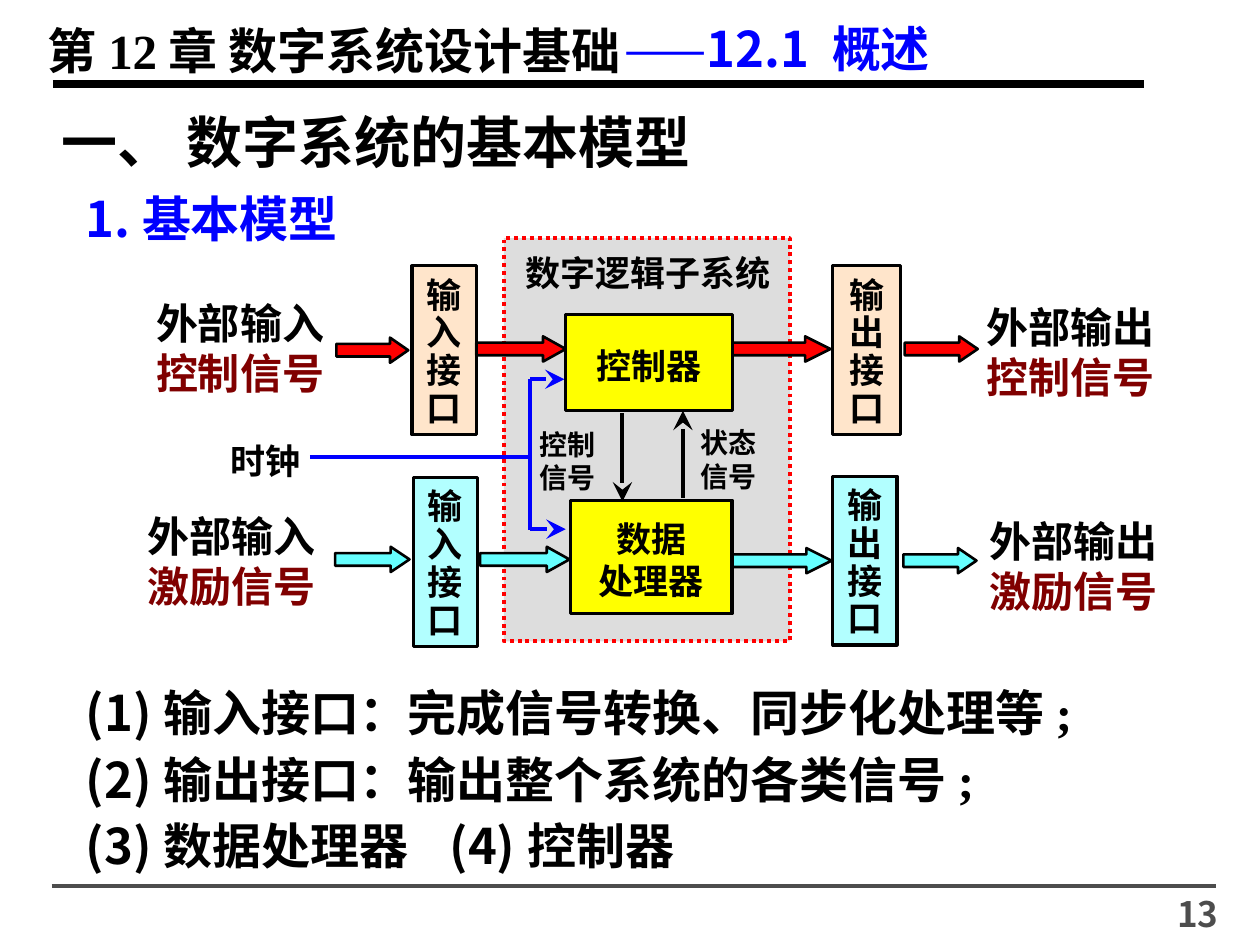
from lxml import etree
from pptx import Presentation
from pptx.dml.color import RGBColor
from pptx.enum.dml import MSO_LINE
from pptx.enum.shapes import MSO_CONNECTOR, MSO_SHAPE
from pptx.enum.text import MSO_ANCHOR, MSO_AUTO_SIZE, PP_ALIGN
from pptx.oxml.ns import qn
from pptx.util import Pt

LEFT, CENTER, RIGHT = PP_ALIGN.LEFT, PP_ALIGN.CENTER, PP_ALIGN.RIGHT
TOP, MIDDLE = MSO_ANCHOR.TOP, MSO_ANCHOR.MIDDLE
RECT, ARROW = MSO_SHAPE.RECTANGLE, MSO_SHAPE.RIGHT_ARROW
STRAIGHT = MSO_CONNECTOR.STRAIGHT
DOTTED = MSO_LINE.ROUND_DOT
PX = 9144  # EMU per px, 100 px to the inch


class Theme:
    sans, serif = "Noto Sans CJK SC", "Times New Roman"
    black, blue, red, maroon = "000000", "0000FF", "FF0000", "800000"
    gray, panel, yellow = "4D4D4D", "DDDDDD", "FFFF00"
    cyan, peach = "66FFFF", "FFCC99"
    section, heading, signal, label, small = 32, 28, 24, 20, 16
    leading = 1.2


def write(shape, paragraphs, size, align=LEFT, anchor=TOP, side=10,
          leading=Theme.leading, gap=0):
    """Fill a shape with paragraphs of (text, font, colour, bold) runs."""
    frame = shape.text_frame
    frame.auto_size = MSO_AUTO_SIZE.NONE
    frame.word_wrap = True
    frame.vertical_anchor = anchor
    frame.margin_left = frame.margin_right = side * PX
    frame.margin_top = (9 if anchor == MIDDLE else 7) * PX
    frame.margin_bottom = 5 * PX
    for row, runs in enumerate(paragraphs):
        paragraph = frame.add_paragraph() if row else frame.paragraphs[0]
        paragraph.alignment = align
        paragraph.line_spacing = Pt(round(size * leading, 1))
        paragraph.space_before = Pt(gap if row else 0)
        for text, font, color, bold in runs:
            run = paragraph.add_run()
            run.text = text
            run.font.name, run.font.size, run.font.bold = font, Pt(size), bold
            run.font.color.rgb = RGBColor.from_string(color)
            east_asian = etree.SubElement(run.font._element, qn("a:ea"))
            east_asian.set("typeface", Theme.sans)


def block(kind, at, fill, line_width, line=Theme.black):
    """Add a filled, outlined preset shape."""
    shape = slide.shapes.add_shape(kind, *(n * PX for n in at))
    shape.shadow.inherit = False
    shape.fill.solid()
    shape.fill.fore_color.rgb = RGBColor.from_string(fill)
    shape.line.color.rgb = RGBColor.from_string(line)
    shape.line.width = Pt(line_width)
    return shape


deck = Presentation()
deck.slide_width, deck.slide_height = 1000 * PX, 750 * PX
slide = deck.slides.add_slide(deck.slide_layouts[1])
section, components = slide.placeholders

# Section title
section.left, section.top, section.width, section.height = (
    n * PX for n in (39, 78, 567, 64))
write(section, [[("一、 数字系统的基本模型", Theme.sans, Theme.black, True)]],
      Theme.section)

# Component list
components.left, components.top, components.width, components.height = (
    n * PX for n in (58, 535, 808, 162))
write(components, [
    [("(1)输入接口", Theme.sans, Theme.black, True),
     ("：完成信号转换、同步化处理等;", Theme.serif, Theme.black, True)],
    [("(2)输出接口", Theme.sans, Theme.black, True),
     ("：输出整个系统的各类信号;", Theme.serif, Theme.black, True)],
    [("(3)数据处理器", Theme.sans, Theme.black, True)],
], Theme.heading, gap=4.2)
for paragraph in components.text_frame.paragraphs:
    properties = paragraph._p.get_or_add_pPr()
    properties.set("marL", "0")
    properties.set("indent", "0")
    etree.SubElement(properties, qn("a:buNone"))

# Subsystem panel
panel = block(RECT, (400, 189, 227, 320), Theme.panel, 2.25, Theme.red)
panel.line.dash_style = DOTTED

# Page rules, clock wiring and the links between controller and processor
for x1, y1, x2, y2, color, width, has_head in [
    (42, 67, 908, 67, Theme.black, 4.5, False),
    (41, 703, 965, 703, Theme.gray, 2, False),
    (246, 363, 421, 363, Theme.blue, 2.25, False),
    (421, 301, 421, 421, Theme.blue, 2.25, False),
    (421, 301, 448, 301, Theme.blue, 2.25, True),
    (421, 420, 449, 420, Theme.blue, 2.25, True),
    (494, 328, 494, 398, Theme.black, 2.25, True),
    (542, 395, 542, 326, Theme.black, 2.25, True),
]:
    wire = slide.shapes.add_connector(
        STRAIGHT, x1 * PX, y1 * PX, x2 * PX, y2 * PX)
    wire.line.color.rgb = RGBColor.from_string(color)
    wire.line.width = Pt(width)
    etree.SubElement(wire._element.spPr, qn("a:effectLst"))
    if has_head:
        etree.SubElement(wire.line._get_or_add_ln(), qn("a:tailEnd"),
                         type="stealth", w="lg", len="lg")

# Signal flow arrows: control path above, data path below
for x, y, length, color in [
    (267, 268, 57, Theme.red), (378, 267, 71, Theme.red),
    (580, 267, 79, Theme.red), (718, 267, 58, Theme.red),
    (266, 434, 59, Theme.cyan), (381, 434, 71, Theme.cyan),
    (581, 435, 79, Theme.cyan), (717, 435, 58, Theme.cyan),
]:
    flow = block(ARROW, (x, y, length, 20), color, 1.5)
    flow.adjustments[0] = 0.5
    flow.adjustments[1] = length / 79  # head takes a quarter of the length

# Interfaces, one character to a line
for text, at, color in [
    ("输入接口", (327, 211, 51, 134), Theme.peach),
    ("输出接口", (661, 211, 54, 134), Theme.peach),
    ("输入接口", (328, 379, 51, 134), Theme.cyan),
    ("输出接口", (661, 378, 51, 134), Theme.cyan),
]:
    interface = block(RECT, at, color, 1.75)
    tint = interface._element.spPr.find(qn("a:solidFill"))[0]
    etree.SubElement(tint, qn("a:alpha"), val="50000")
    write(interface, [[(text, Theme.serif, Theme.black, True)]], Theme.label,
          CENTER, MIDDLE, side=0, leading=0.9 * Theme.leading)

# Controller and data processor
for rows, at in [
    (["控制器"], (449, 250, 132, 76)),
    (["数据", "处理器"], (453, 397, 128, 90)),
]:
    unit = block(RECT, at, Theme.yellow, 1.75)
    write(unit, [[(row, Theme.serif, Theme.black, True)] for row in rows],
          Theme.label, CENTER, MIDDLE, side=0)

# Headings, diagram labels and page number
labels = [
    ((28, 9, 624, 57), Theme.heading, LEFT, 10,
     [("第12章 数字系统设计基础", Theme.serif, Theme.black, True)]),
    ((486, 8, 417, 57), Theme.heading, LEFT, 10,
     [("——", Theme.sans, Theme.blue, False),
      ("12.1 概述", Theme.sans, Theme.blue, True)]),
    ((58, 143, 225, 57), Theme.heading, LEFT, 10,
     [("1.基本模型", Theme.sans, Theme.blue, True)]),
    ((347, 640, 233, 57), Theme.heading, LEFT, 10,
     [("(4)控制器", Theme.sans, Theme.black, True)]),
    ((838, 701, 139, 39), Theme.label, RIGHT, 10,
     [("13", Theme.sans, Theme.gray, True)]),
]
for text, at, size, side in [
    ("数字逻辑子系统", (398, 193, 233, 44), Theme.label, 0),
    ("时钟", (168, 342, 85, 44), Theme.label, 10),
    ("控制信号", (425, 332, 51, 64), Theme.small, 0),
    ("状态信号", (549, 331, 58, 64), Theme.small, 0),
]:
    labels.append((at, size, CENTER, side,
                   [(text, Theme.serif, Theme.black, True)]))
for direction, signal, at in [
    ("外部输入", "控制信号", (104, 229, 173, 90)),
    ("外部输入", "激励信号", (95, 398, 178, 90)),
    ("外部输出", "控制信号", (763, 232, 173, 90)),
    ("外部输出", "激励信号", (765, 402, 174, 90)),
]:
    labels.append((at, Theme.signal, CENTER, 10,
                   [(direction, Theme.serif, Theme.black, True),
                    (signal, Theme.serif, Theme.maroon, True)]))
for at, size, align, side, runs in labels:
    label = slide.shapes.add_textbox(*(n * PX for n in at))
    write(label, [runs], size, align, side=side)

deck.save("out.pptx")
